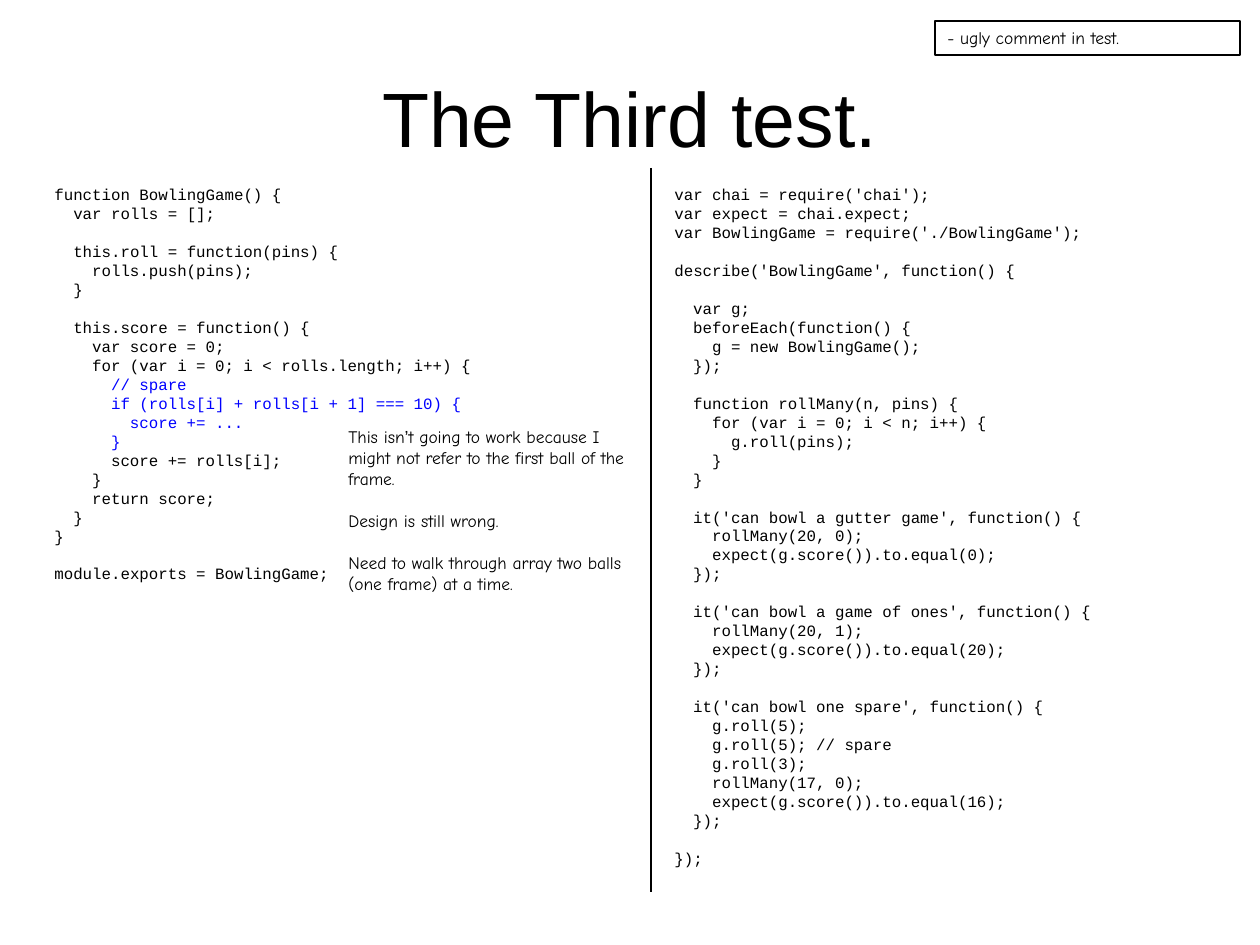
from pptx import Presentation
from pptx.dml.color import RGBColor
from pptx.enum.shapes import MSO_CONNECTOR, MSO_SHAPE
from pptx.enum.text import MSO_ANCHOR, PP_ALIGN
from pptx.oxml.ns import qn
from pptx.util import Inches, Pt
from lxml import etree

LINE = MSO_CONNECTOR.STRAIGHT
RECT = MSO_SHAPE.RECTANGLE
TOP, MIDDLE = MSO_ANCHOR.TOP, MSO_ANCHOR.MIDDLE
LEFT, CENTER = PP_ALIGN.LEFT, PP_ALIGN.CENTER

BLACK, BLUE = "000000", "0000FF"
SANS, HAND, MONO = "Arial", "Comic Neue", "Courier New"
CODE_SIZE, CODE_PITCH, CHAR_WIDTH = 9, 10.83, 5.4
NOTE_SIZE, NOTE_PITCH = 10, 12

GAME = """\
function BowlingGame() {
  var rolls = [];

  this.roll = function(pins) {
    rolls.push(pins);
  }

  this.score = function() {
    var score = 0;
    for (var i = 0; i < rolls.length; i++) {
      // spare
      if (rolls[i] + rolls[i + 1] === 10) {
        score += ...
      }
      score += rolls[i];
    }
    return score;
  }
}

module.exports = BowlingGame;"""
NEW_LINES = range(10, 14)

TESTS = """\
var chai = require('chai');
var expect = chai.expect;
var BowlingGame = require('./BowlingGame');

describe('BowlingGame', function() {

  var g;
  beforeEach(function() {
    g = new BowlingGame();
  });

  function rollMany(n, pins) {
    for (var i = 0; i < n; i++) {
      g.roll(pins);
    }
  }

  it('can bowl a gutter game', function() {
    rollMany(20, 0);
    expect(g.score()).to.equal(0);
  });

  it('can bowl a game of ones', function() {
    rollMany(20, 1);
    expect(g.score()).to.equal(20);
  });

  it('can bowl one spare', function() {
    g.roll(5);
    g.roll(5); // spare
    g.roll(3);
    rollMany(17, 0);
    expect(g.score()).to.equal(16);
  });

});"""

NOTES = [
    [("This isn", HAND), ("’", SANS),
     ("t going to work because I might not refer to the first ball of the frame.", HAND)],
    [("Design is still wrong.", HAND)],
    [("Need to walk through array two balls (one frame) at a time.", HAND)],
]


def px(n):
    return int(n * Inches(1) / 126)


def paint(color, code):
    color.rgb = RGBColor.from_string(code)


def set_frame(shape, anchor=TOP):
    frame = shape.text_frame
    frame.word_wrap = True
    frame.vertical_anchor = anchor
    frame.margin_left = frame.margin_right = Inches(0.1)
    frame.margin_top = frame.margin_bottom = Inches(0.05)
    return frame


def add_frame(slide, box, anchor=TOP):
    return set_frame(slide.shapes.add_textbox(*map(px, box)), anchor)


def add_para(frame, first, align=LEFT):
    para = frame.paragraphs[0] if first else frame.add_paragraph()
    para.alignment = align
    return para


def add_run(para, text, font, size, color=BLACK):
    run = para.add_run()
    run.text = text
    run.font.name = font
    run.font.size = Pt(size)
    paint(run.font.color, color)


def add_title(slide, box, text):
    frame = add_frame(slide, box, MIDDLE)
    add_run(add_para(frame, True, CENTER), text, SANS, 44)


def add_code(slide, box, code, marked=()):
    """Set code line by line, with empty lines as spacing and indents as margins."""
    frame = add_frame(slide, box)
    gap = 0
    for i, line in enumerate(code.split("\n")):
        text = line.lstrip()
        if not text:
            gap += CODE_PITCH
            continue
        para = add_para(frame, i == 0)
        para.line_spacing = Pt(CODE_PITCH)
        para.space_before = Pt(gap)
        props = para._p.get_or_add_pPr()
        props.set("marL", str(Pt((len(line) - len(text)) * CHAR_WIDTH)))
        props.set("indent", "0")
        add_run(para, text, MONO, CODE_SIZE, BLUE if i in marked else BLACK)
        gap = 0


def add_rule(slide, x, top, bottom):
    rule = slide.shapes.add_connector(LINE, px(x), px(top), px(x), px(bottom))
    paint(rule.line.color, BLACK)
    rule.line.width = Pt(0.75)
    etree.SubElement(rule._element.spPr, qn("a:effectLst"))


def add_label(slide, box, text):
    label = slide.shapes.add_shape(RECT, *map(px, box))
    label.shadow.inherit = False
    label.fill.background()
    paint(label.line.color, BLACK)
    label.line.width = Pt(0.75)
    add_run(add_para(set_frame(label), True), text, HAND, NOTE_SIZE)


def add_notes(slide, box, notes):
    frame = add_frame(slide, box)
    for i, runs in enumerate(notes):
        para = add_para(frame, i == 0)
        para.space_before = Pt(NOTE_PITCH if i else 0)
        for text, font in runs:
            add_run(para, text, font, NOTE_SIZE)


def main():
    deck = Presentation()
    deck.slide_width, deck.slide_height = Inches(10), Inches(7.5)
    slide = deck.slides.add_slide(deck.slide_layouts[6])
    add_title(slide, (63, 38, 1134, 158), "The Third test.")
    add_code(slide, (42, 179, 557, 411), GAME, NEW_LINES)
    add_rule(slide, 651, 168, 892)
    add_code(slide, (662, 179, 557, 696), TESTS)
    add_label(slide, (935, 21, 305, 34), "- ugly comment in test.")
    add_notes(slide, (336, 420, 305, 181), NOTES)
    deck.save("out.pptx")


if __name__ == "__main__":
    main()
